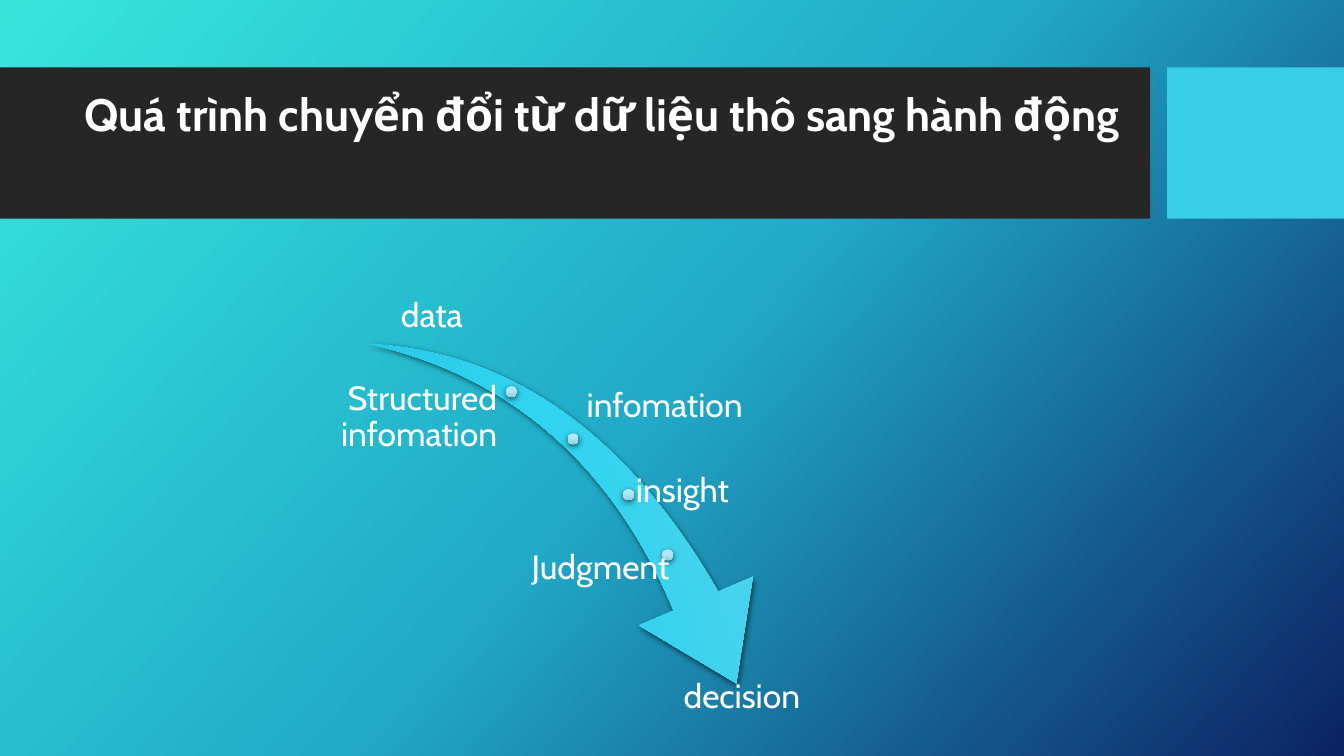
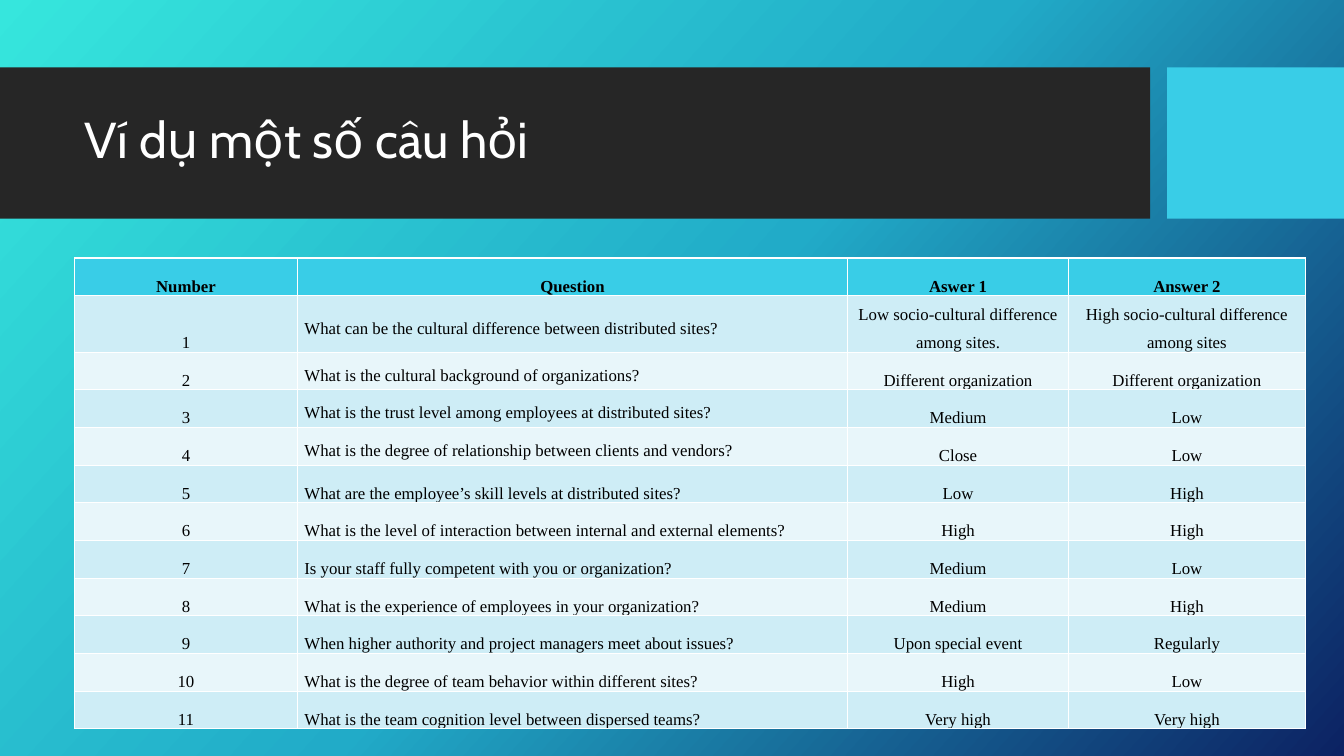
import copy

import lxml.etree
import pptx
import pptx.dml.color
import pptx.enum.shapes
import pptx.enum.text
import pptx.oxml.ns
import pptx.util

SLIDE_WIDTH = pptx.util.Inches(13.33)
SLIDE_HEIGHT = pptx.util.Inches(7.5)
SHAPE = pptx.enum.shapes.MSO_SHAPE
ALIGN = pptx.enum.text.PP_ALIGN
ANCHOR = pptx.enum.text.MSO_ANCHOR
TITLE_ONLY = 5

HEADING_FONT = "Cabin"
TABLE_FONT = "Times New Roman"
WHITE, BLACK, CHARCOAL, ACCENT = "FFFFFF", "000000", "262626", "39CDE7"
ROW_FILLS = ["E8F6FA", "CEEDF6"]
BACKGROUND_GRADIENT = ["36E6DD", "21ABC8", "0C2263"]
ARROW_GRADIENT = ["5DD3EB", "30D3F0", "21C2DF"]
DOT_GRADIENT = ["BBE8F4", "ABE5F4", "94CEDD"]

TITLE_AREA = (5.55, 10.93, 78.83, 15.73)
BANDS = [((0, 8.93, 85.58, 20), CHARCOAL), ((86.85, 8.93, 13.15, 20), ACCENT)]

ARROW_AREA = (26.78, 47.2, 32.03, 39.73)
DOT_SIZE = (0.83, 1.47)
DOT_CORNERS = [(37.65, 51.07), (42.23, 57.33), (46.35, 64.67), (49.28, 72.67)]
LABEL_HEIGHT = 10.53
LABELS = [
    ("data", 24.6, 34.13, 15.08, ALIGN.CENTER, ANCHOR.BOTTOM),
    ("infomation", 43.43, 48.53, 22.43, ALIGN.LEFT, ANCHOR.MIDDLE),
    ("Structured infomation", 22.13, 50, 15.08, ALIGN.RIGHT, ANCHOR.MIDDLE),
    ("insight", 47.1, 59.73, 15.08, ALIGN.LEFT, ANCHOR.MIDDLE),
    ("Judgment", 27.6, 70, 22.43, ALIGN.RIGHT, ANCHOR.MIDDLE),
    ("decision", 45, 89.47, 20.4, ALIGN.CENTER, ANCHOR.TOP),
]

TABLE_LEFT, TABLE_TOP, TABLE_HEIGHT = 5.55, 34.13, 62.27
COLUMN_WIDTHS = [16.58, 40.95, 16.43, 17.63]
TALL_ROW, TALL_ROW_HEIGHT = 1, 7.47
QUESTION_COLUMN = 1
CENTRED_QUESTION_ROWS = range(1, 5)
HEADER = ("Number", "Question", "Aswer 1", "Answer 2")
QUESTIONS = [
    ("What can be the cultural difference between distributed sites?",
     "Low socio-cultural difference among sites.", "High socio-cultural difference among sites"),
    ("What is the cultural background of organizations?",
     "Different organization", "Different organization"),
    ("What is the trust level among employees at distributed sites?", "Medium", "Low"),
    ("What is the degree of relationship between clients and vendors?", "Close", "Low"),
    ("What are the employee’s skill levels at distributed sites?", "Low", "High"),
    ("What is the level of interaction between internal and external elements?", "High", "High"),
    ("Is your staff fully competent with you or organization?", "Medium", "Low"),
    ("What is the experience of employees in your organization?", "Medium", "High"),
    ("When higher authority and project managers meet about issues?",
     "Upon special event", "Regularly"),
    ("What is the degree of team behavior within different sites?", "High", "Low"),
    ("What is the team cognition level between dispersed teams?", "Very high", "Very high"),
]


def color(value):
    """Turn a hex string into a colour."""
    return pptx.dml.color.RGBColor.from_string(value)


def across(percent):
    """Return a percentage of the slide's width."""
    return round(SLIDE_WIDTH * percent / 100)


def down(percent):
    """Return a percentage of the slide's height."""
    return round(SLIDE_HEIGHT * percent / 100)


def area(left, top, width, height):
    """Turn percentages of the slide into a place and size."""
    return across(left), down(top), across(width), down(height)


def fill_gradient(fill, owner, colors, angle):
    """Fill with three evenly spaced colours, at a clockwise angle."""
    fill.gradient()
    stop_list = owner.find(".//" + pptx.oxml.ns.qn("a:gsLst"))
    stop_list.append(copy.deepcopy(stop_list[-1]))
    for stop, value, position in zip(fill.gradient_stops, colors, (0, 0.5, 1)):
        stop.color.rgb = color(value)
        stop.position = position
    fill.gradient_angle = 360 - angle


def add_plain_shape(slide, kind, bounds):
    """Add a preset shape without line or shadow."""
    shape = slide.shapes.add_shape(kind, *area(*bounds))
    shape.shadow.inherit = False
    shape.line.fill.background()
    return shape


def add_raised_shape(slide, kind, bounds, colors):
    """Add a gradient shape with a soft shadow below it."""
    shape = add_plain_shape(slide, kind, bounds)
    properties = shape.element.spPr
    fill_gradient(shape.fill, properties, colors, 90)
    qn = pptx.oxml.ns.qn
    shadow = lxml.etree.SubElement(
        properties.find(qn("a:effectLst")), qn("a:outerShdw"),
        blurRad=str(pptx.util.Pt(4.5)), dist=str(pptx.util.Pt(1.5)),
        dir="5400000", algn="ctr", rotWithShape="0")
    shade = lxml.etree.SubElement(shadow, qn("a:srgbClr"), val=BLACK)
    lxml.etree.SubElement(shade, qn("a:alpha"), val="63000")
    return shape


def format_paragraph(paragraph, font_name, size, value, alignment, spacing, bold=False):
    """Set the font, alignment and line spacing of a paragraph."""
    paragraph.alignment = alignment
    paragraph.line_spacing = spacing
    paragraph.font.name = font_name
    paragraph.font.size = pptx.util.Pt(size)
    paragraph.font.bold = bold
    paragraph.font.color.rgb = color(value)


def prepare_layout(presentation, slide):
    """Give the master its background and the slide's layout its bands."""
    master = presentation.slide_master
    fill_gradient(master.background.fill, master.element, BACKGROUND_GRADIENT, 42)
    for number, (bounds, value) in enumerate(BANDS):
        band = add_plain_shape(slide, SHAPE.RECTANGLE, bounds)
        band.fill.solid()
        band.fill.fore_color.rgb = color(value)
        band.element.nvSpPr.cNvPr.set("id", str(100 + number))
        slide.slide_layout.shapes.element.insert(2 + number, band.element)


def set_title(slide, text, size, bold, anchor):
    """Place and format the slide's title."""
    title = slide.shapes.title
    title.left, title.top, title.width, title.height = area(*TITLE_AREA)
    frame = title.text_frame
    frame.text = text
    frame.auto_size = pptx.enum.text.MSO_AUTO_SIZE.NONE
    frame.vertical_anchor = anchor
    frame.margin_right = 0
    frame.margin_top = frame.margin_bottom = pptx.util.Inches(0.1)
    format_paragraph(frame.paragraphs[0], HEADING_FONT, size, WHITE, ALIGN.LEFT, 0.9, bold)


def add_label(slide, text, left, top, width, alignment, anchor):
    """Add a label beside the arrow."""
    box = slide.shapes.add_textbox(*area(left, top, width, LABEL_HEIGHT))
    frame = box.text_frame
    frame.word_wrap = True
    frame.vertical_anchor = anchor
    frame.margin_left = frame.margin_right = pptx.util.Inches(0.03)
    frame.margin_top = frame.margin_bottom = pptx.util.Inches(0.03)
    frame.text = text
    format_paragraph(frame.paragraphs[0], HEADING_FONT, 24, WHITE, alignment, 0.9)


def add_process(slide):
    """Draw the arrow from data to decision, with its steps."""
    arrow = add_raised_shape(slide, SHAPE.SWOOSH_ARROW, ARROW_AREA, ARROW_GRADIENT)
    arrow.rotation = 73.3
    arrow.adjustments[0] = 0.16
    arrow.adjustments[1] = 0.31
    for corner in DOT_CORNERS:
        add_raised_shape(slide, SHAPE.OVAL, corner + DOT_SIZE, DOT_GRADIENT)
    for label in LABELS:
        add_label(slide, *label)


def fill_cell(cell, text, row, column):
    """Write and format one cell of the question table."""
    is_header = row == 0
    is_question = column == QUESTION_COLUMN and not is_header
    is_centred = is_question and row in CENTRED_QUESTION_ROWS
    cell.text = text
    cell.margin_left = cell.margin_right = pptx.util.Inches(0.07)
    cell.margin_top = cell.margin_bottom = 0
    cell.vertical_anchor = ANCHOR.MIDDLE if is_centred else ANCHOR.BOTTOM
    cell.fill.solid()
    cell.fill.fore_color.rgb = color(ACCENT if is_header else ROW_FILLS[row % 2])
    format_paragraph(cell.text_frame.paragraphs[0], TABLE_FONT, 12, BLACK,
                     ALIGN.LEFT if is_question else ALIGN.CENTER, 1.5, is_header)


def add_question_table(slide):
    """Add the table of numbered questions and answers."""
    rows = [HEADER] + [(str(number), *entry) for number, entry in enumerate(QUESTIONS, 1)]
    bounds = area(TABLE_LEFT, TABLE_TOP, sum(COLUMN_WIDTHS), TABLE_HEIGHT)
    table = slide.shapes.add_table(len(rows), len(HEADER), *bounds).table
    for column, width in zip(table.columns, COLUMN_WIDTHS):
        column.width = across(width)
    row_height = (TABLE_HEIGHT - TALL_ROW_HEIGHT) / (len(rows) - 1)
    for row, texts in enumerate(rows):
        table.rows[row].height = down(TALL_ROW_HEIGHT if row == TALL_ROW else row_height)
        for column, text in enumerate(texts):
            fill_cell(table.cell(row, column), text, row, column)


def main():
    """Build and save the presentation."""
    presentation = pptx.Presentation()
    presentation.slide_width = SLIDE_WIDTH
    presentation.slide_height = SLIDE_HEIGHT
    layout = presentation.slide_layouts[TITLE_ONLY]

    process_slide = presentation.slides.add_slide(layout)
    prepare_layout(presentation, process_slide)
    set_title(process_slide, "Quá trình chuyển đổi từ dữ liệu thô sang hành động",
              32.4, True, ANCHOR.TOP)
    add_process(process_slide)

    question_slide = presentation.slides.add_slide(layout)
    set_title(question_slide, "Ví dụ một số câu hỏi", 36, False, ANCHOR.MIDDLE)
    add_question_table(question_slide)

    presentation.save("out.pptx")


if __name__ == "__main__":
    main()
